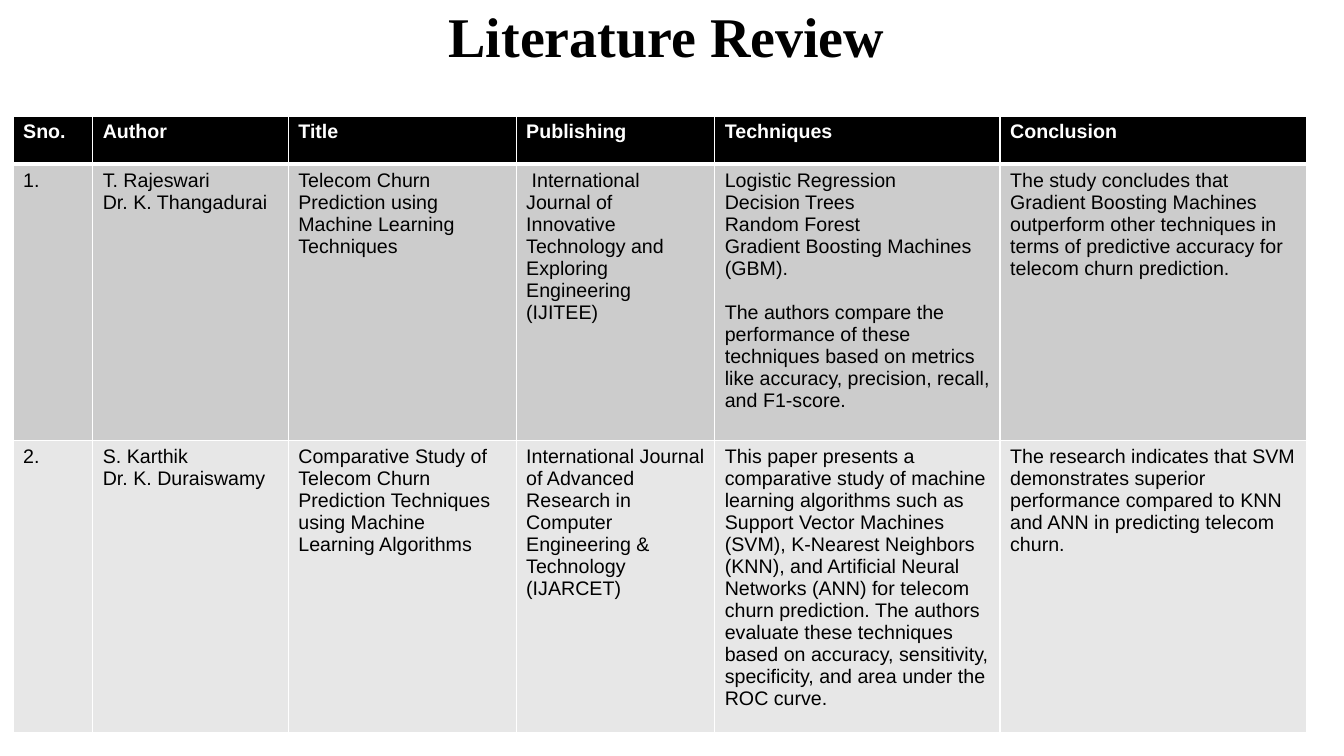
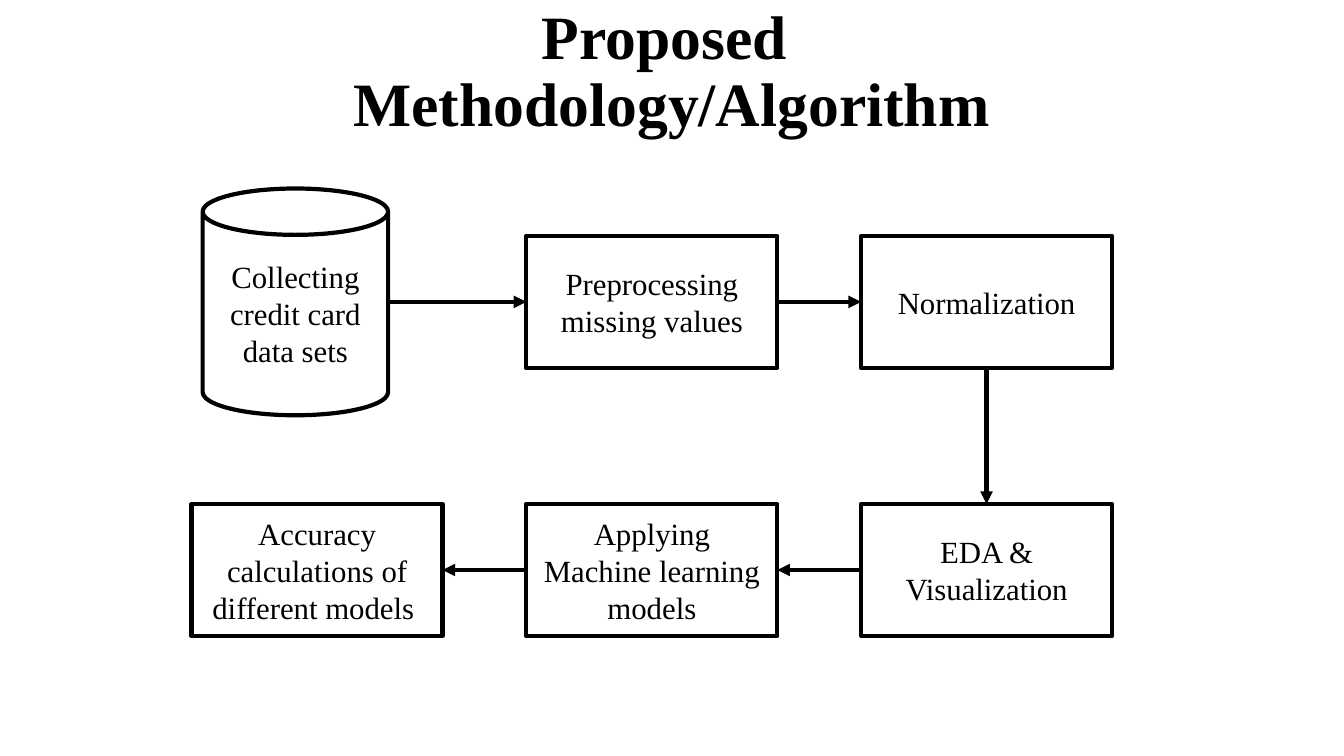
from dataclasses import dataclass

from lxml import etree
from pptx import Presentation
from pptx.dml.color import RGBColor
from pptx.enum.shapes import MSO_CONNECTOR, MSO_SHAPE
from pptx.enum.text import MSO_ANCHOR, PP_ALIGN
from pptx.oxml.ns import qn
from pptx.util import Inches, Pt

CENTER = PP_ALIGN.CENTER
MIDDLE = MSO_ANCHOR.MIDDLE
CAN, RECTANGLE = MSO_SHAPE.CAN, MSO_SHAPE.RECTANGLE
STRAIGHT = MSO_CONNECTOR.STRAIGHT
TOP, LEFT, BOTTOM, RIGHT = range(4)


@dataclass(frozen=True)
class Theme:
    black: str = "000000"
    white: str = "FFFFFF"
    bands: tuple = ("CCCCCC", "E7E7E7")
    serif: str = "Times New Roman"
    sans: str = "Arial"
    table_size: int = 14
    step_size: int = 22
    line_width: int = 3
    grid_width: int = 1
    block_gap: int = 16


THEME = Theme()
SLIDE_WIDTH, SLIDE_HEIGHT = 13.33, 7.5

REVIEW_TITLE = ["Literature Review"]
REVIEW_HEADER = ["Sno.", "Author", "Title", "Publishing", "Techniques", "Conclusion"]
# A line feed starts a paragraph; two of them also open a gap.
REVIEW_ROWS = [
    [
        "1.",
        "T. Rajeswari\nDr. K. Thangadurai",
        "Telecom Churn Prediction using Machine Learning Techniques",
        " International Journal of Innovative Technology and Exploring "
        "Engineering (IJITEE)",
        "Logistic Regression\nDecision Trees\nRandom Forest\n"
        "Gradient Boosting Machines (GBM).\n\n"
        "The authors compare the performance of these techniques based on "
        "metrics like accuracy, precision, recall, and F1-score.",
        "The study concludes that Gradient Boosting Machines outperform other "
        "techniques in terms of predictive accuracy for telecom churn prediction.",
    ],
    [
        "2.",
        "S. Karthik\nDr. K. Duraiswamy",
        "Comparative Study of Telecom Churn Prediction Techniques using "
        "Machine Learning Algorithms",
        "International Journal of Advanced Research in Computer Engineering & "
        "Technology (IJARCET)",
        "This paper presents a comparative study of machine learning algorithms "
        "such as Support Vector Machines (SVM), K-Nearest Neighbors (KNN), and "
        "Artificial Neural Networks (ANN) for telecom churn prediction. The "
        "authors evaluate these techniques based on accuracy, sensitivity, "
        "specificity, and area under the ROC curve.",
        "The research indicates that SVM demonstrates superior performance "
        "compared to KNN and ANN in predicting telecom churn.",
    ],
]
COLUMN_WIDTHS = [0.79, 1.94, 2.26, 1.97, 2.83, 3.04]
ROW_HEIGHTS = [0.48, 2.74, 2.57]
TABLE_LEFT, TABLE_TOP = 0.13, 1.15

METHOD_TITLE = ["Proposed ", "Methodology/Algorithm"]
# Each step: text, grid column, grid row
STEPS = [
    ("Preprocessing missing values", 1, 0),
    ("Normalization", 2, 0),
    ("EDA & Visualization", 2, 1),
    ("Applying Machine learning models", 1, 1),
    ("Accuracy calculations of different models ", 0, 1),
]
# Sides that each arrow between successive steps leaves and enters
LINKS = [(RIGHT, LEFT), (BOTTOM, TOP), (LEFT, RIGHT), (LEFT, RIGHT)]
SOURCE = "Collecting credit card data sets"
SOURCE_LEFT, SOURCE_WIDTH, SOURCE_HEIGHT = 2.01, 1.84, 2.25
STEP_WIDTH, STEP_HEIGHT = 2.49, 1.31
GRID_LEFT, GRID_TOP = 1.9, 2.34
COLUMN_PITCH, ROW_PITCH = 3.32, 2.66


def color(value):
    return RGBColor.from_string(value)


def add_span(para, text, font, size, ink=THEME.black, bold=False):
    span = para.add_run()
    span.text = text
    span.font.name = font
    span.font.size = Pt(size)
    span.font.bold = bold
    span.font.color.rgb = color(ink)


def add_title(page, lines, left, height, size):
    box = page.shapes.add_textbox(
        Inches(left), 0, Inches(SLIDE_WIDTH - left), Inches(height))
    frame = box.text_frame
    frame.word_wrap = True
    frame.vertical_anchor = MIDDLE
    para = frame.paragraphs[0]
    para.alignment = CENTER
    para.line_spacing = 0.9
    for index, line in enumerate(lines):
        if index:
            para.add_line_break()
        add_span(para, line, THEME.serif, size, bold=True)


def set_borders(cell, widths):
    """Draw white borders; widths maps L, R, T, B to points, in that order."""
    properties = cell._tc.get_or_add_tcPr()
    for index, (side, width) in enumerate(widths.items()):
        line = etree.Element(qn(f"a:ln{side}"), w=str(Pt(width)))
        fill = etree.SubElement(line, qn("a:solidFill"))
        etree.SubElement(fill, qn("a:srgbClr"), val=THEME.white)
        properties.insert(index, line)


def fill_cell(cell, text, ink, bold):
    frame = cell.text_frame
    para = frame.paragraphs[0]
    for block_index, block in enumerate(text.split("\n\n")):
        for line_index, line in enumerate(block.split("\n")):
            if block_index or line_index:
                para = frame.add_paragraph()
            if block_index and not line_index:
                para.space_before = Pt(THEME.block_gap)
            add_span(para, line, THEME.sans, THEME.table_size, ink, bold)


def add_review_table(page):
    rows = [REVIEW_HEADER] + REVIEW_ROWS
    table = page.shapes.add_table(
        len(rows), len(REVIEW_HEADER), Inches(TABLE_LEFT), Inches(TABLE_TOP),
        Inches(sum(COLUMN_WIDTHS)), Inches(sum(ROW_HEIGHTS))).table
    for column, width in zip(table.columns, COLUMN_WIDTHS):
        column.width = Inches(width)
    for row, height in zip(table.rows, ROW_HEIGHTS):
        row.height = Inches(height)

    thin, thick = THEME.grid_width, THEME.line_width
    fills = (THEME.black,) + THEME.bands
    for row_index, texts in enumerate(rows):
        header = row_index == 0
        widths = {"L": thin, "R": thin,
                  "T": thick if row_index == 1 else thin,
                  "B": thick if header else thin}
        for column_index, text in enumerate(texts):
            cell = table.cell(row_index, column_index)
            cell.fill.solid()
            cell.fill.fore_color.rgb = color(fills[row_index])
            set_borders(cell, widths)
            fill_cell(cell, text, THEME.white if header else THEME.black, header)


def add_step(page, kind, text, left, top, width, height):
    box = page.shapes.add_shape(
        kind, Inches(left), Inches(top), Inches(width), Inches(height))
    box.shadow.inherit = False
    box.fill.solid()
    box.fill.fore_color.rgb = color(THEME.white)
    box.line.color.rgb = color(THEME.black)
    box.line.width = Pt(THEME.line_width)
    frame = box.text_frame
    frame.word_wrap = True
    frame.vertical_anchor = MIDDLE
    para = frame.paragraphs[0]
    para.alignment = CENTER
    add_span(para, text, THEME.serif, THEME.step_size)
    return box


def add_arrow(page, x=0, y=0):
    """Add an arrow starting at x, y; its ends are joined by the caller."""
    arrow = page.shapes.add_connector(STRAIGHT, x, y, x, y)
    arrow.line.color.rgb = color(THEME.black)
    arrow.line.width = Pt(THEME.line_width)
    etree.SubElement(arrow.line._get_or_add_ln(), qn("a:tailEnd"), type="triangle")
    etree.SubElement(arrow._element.spPr, qn("a:effectLst"))
    return arrow


def add_flowchart(page):
    middle = GRID_TOP + STEP_HEIGHT / 2
    source = add_step(page, CAN, SOURCE, SOURCE_LEFT, middle - SOURCE_HEIGHT / 2,
                      SOURCE_WIDTH, SOURCE_HEIGHT)
    boxes = [
        add_step(page, RECTANGLE, text, GRID_LEFT + column * COLUMN_PITCH,
                 GRID_TOP + row * ROW_PITCH, STEP_WIDTH, STEP_HEIGHT)
        for text, column, row in STEPS
    ]
    first = add_arrow(page, source.left + source.width, Inches(middle))
    first.end_connect(boxes[0], LEFT)
    for start, end, (leave, enter) in zip(boxes, boxes[1:], LINKS):
        arrow = add_arrow(page)
        arrow.begin_connect(start, leave)
        arrow.end_connect(end, enter)


def main():
    deck = Presentation()
    deck.slide_width = Inches(SLIDE_WIDTH)
    deck.slide_height = Inches(SLIDE_HEIGHT)
    blank = deck.slide_layouts[6]

    review = deck.slides.add_slide(blank)
    add_title(review, REVIEW_TITLE, left=-0.11, height=0.79, size=40)
    add_review_table(review)

    method = deck.slides.add_slide(blank)
    add_title(method, METHOD_TITLE, left=0, height=1.45, size=44)
    add_flowchart(method)

    deck.save("out.pptx")


if __name__ == "__main__":
    main()
